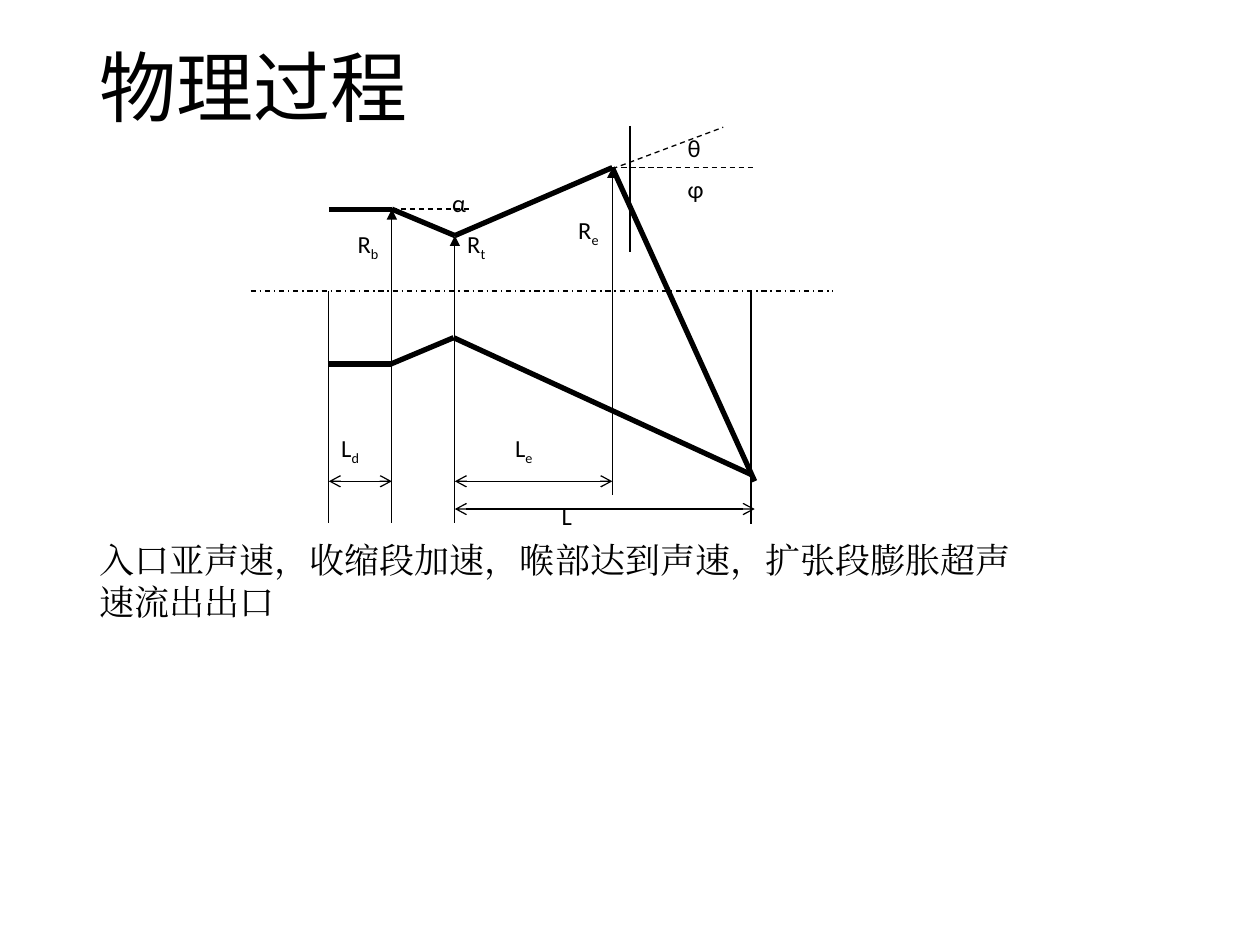
from lxml.etree import SubElement
from pptx import Presentation
from pptx.dml.color import RGBColor
from pptx.enum.dml import MSO_LINE_DASH_STYLE as Dash
from pptx.enum.shapes import MSO_CONNECTOR as Connector
from pptx.enum.text import MSO_ANCHOR as Anchor, MSO_AUTO_SIZE as AutoSize, PP_ALIGN as Align
from pptx.oxml.ns import qn
from pptx.util import Inches, Pt

BLACK = RGBColor(0, 0, 0)
THIN, WALL = 0.75, 3

# Content
TITLE = "物理过程"
NOTE = "入口亚声速，收缩段加速，喉部达到声速，扩张段膨胀超声速流出出口"

# Stations along the nozzle axis, and the axis height
INLET, BEND, THROAT, EXIT, TIP = 2.61, 3.11, 3.61, 4.86, 5.99
AXIS = 2.31

WALLS = [
    [(INLET, 1.66), (BEND, 1.66), (THROAT, 1.87), (EXIT, 1.33), (TIP, 3.82)],
    [(2.6, 2.89), (3.1, 2.89), (3.6, 2.68), (5.97, 3.77)],
]
DASHED = [
    ((1.99, AXIS), (6.61, AXIS), Dash.DASH_DOT),
    ((EXIT, 1.33), (TIP, 1.33), Dash.DASH),
    ((BEND, 1.66), (3.74, 1.66), Dash.DASH),
    ((EXIT, 1.34), (5.74, 1.01), Dash.DASH),
]
RADII = [(BEND, 1.66), (THROAT, 1.87), (EXIT, 1.33)]
EXTENSIONS = [(INLET, 4.15), (BEND, 4.15), (THROAT, 4.15), (EXIT, 3.93), (5.96, 4.16)]
LENGTHS = [(INLET, BEND, 3.82), (THROAT, EXIT, 3.82), (THROAT, TIP, 4.04)]

# Angle marks: a start point, then Bezier segments
ANGLES = [
    ((5.33, 1.34), [((5.32, 1.46), (5.34, 1.53), (5.24, 1.59)),
                    ((5.23, 1.61), (5.23, 1.63), (5.21, 1.64)),
                    ((5.2, 1.65), (5.18, 1.64), (5.17, 1.65)),
                    ((5.11, 1.68), (5.11, 1.7), (5.04, 1.7))]),
    ((3.47, 1.65), [((3.46, 1.69), (3.47, 1.73), (3.45, 1.76)),
                    ((3.45, 1.77), (3.41, 1.77), (3.41, 1.77))]),
    ((5.4, 1.16), [((5.45, 1.21), (5.47, 1.28), (5.39, 1.32))]),
]
# Symbol, subscript, left, top, width
LABELS = [
    ("R", "b", 2.74, 1.77, 0.5), ("R", "t", 3.61, 1.77, 0.38), ("R", "e", 4.49, 1.66, 0.62),
    ("L", "d", 2.61, 3.39, 0.5), ("L", "e", 3.99, 3.39, 0.5), ("L", "", 4.36, 3.93, 0.5),
    ("φ", "", 5.36, 1.33, 0.5), ("α", "", 3.49, 1.44, 0.5), ("θ", "", 5.36, 1.01, 0.5),
]


def add_line(shapes, start, end, width=THIN, dash=None, head=None, tail=None):
    line = shapes.add_connector(Connector.STRAIGHT, *map(Inches, start + end))
    line.line.color.rgb = BLACK
    line.line.width = Pt(width)
    if dash:
        line.line.dash_style = dash
    outline = line.line._get_or_add_ln()
    for tag, kind in (("a:headEnd", head), ("a:tailEnd", tail)):
        if kind:
            SubElement(outline, qn(tag), type=kind)
    SubElement(line._element.spPr, qn("a:effectLst"))


def add_curve(shapes, start, segments, steps=8):
    points, last = [], start
    for first, second, end in segments:
        for step in range(1, steps + 1):
            t = step / steps
            weights = ((1 - t) ** 3, 3 * t * (1 - t) ** 2, 3 * t * t * (1 - t), t ** 3)
            corners = list(zip(weights, (last, first, second, end)))
            points.append(tuple(sum(w * p[axis] for w, p in corners) for axis in (0, 1)))
        last = end
    builder = shapes.build_freeform(*start, scale=Inches(1))
    builder.add_line_segments(points, close=False)
    curve = builder.convert_to_shape()
    curve.shadow.inherit = False
    curve.fill.background()
    curve.line.color.rgb = BLACK
    curve.line.width = Pt(THIN)


def add_span(para, text, font, size, subscript=False):
    span = para.add_run()
    span.text = text
    span.font.name = font
    span.font.size = Pt(size)
    span.font.color.rgb = BLACK
    properties = span.font._element
    SubElement(properties, qn("a:ea"), typeface=font)
    if subscript:
        properties.set("baseline", "-25000")


def add_box(shapes, left, top, width, height):
    box = shapes.add_textbox(*map(Inches, (left, top, width, height)))
    box.text_frame.word_wrap = True
    return box.text_frame


def main():
    deck = Presentation()
    deck.slide_width, deck.slide_height = Inches(10), Inches(7.5)
    page = deck.slides.add_slide(deck.slide_layouts[5])

    # Title
    title = page.shapes.title
    title.left, title.top, title.width, title.height = map(Inches, (0.69, 0, 4.95, 1.45))
    frame = title.text_frame
    frame.vertical_anchor = Anchor.MIDDLE
    frame.auto_size = AutoSize.NONE
    para = frame.paragraphs[0]
    para.alignment = Align.LEFT
    para.line_spacing = 0.9
    add_span(para, TITLE, "Noto Sans CJK SC", 44)

    # Nozzle drawing
    nozzle = page.shapes.add_group_shape().shapes
    for start, end, dash in DASHED:
        add_line(nozzle, start, end, dash=dash)
    for wall in WALLS:
        for start, end in zip(wall, wall[1:]):
            add_line(nozzle, start, end, WALL)
    for x, top in RADII:
        add_line(nozzle, (x, AXIS), (x, top), tail="triangle")
    for x, bottom in EXTENSIONS:
        add_line(nozzle, (x, AXIS), (x, bottom))
    for left, right, y in LENGTHS:
        add_line(nozzle, (left, y), (right, y), head="arrow", tail="arrow")
    for start, segments in ANGLES:
        add_curve(nozzle, start, segments)

    # Dimension and angle labels
    for symbol, subscript, left, top, width in LABELS:
        para = add_box(nozzle, left, top, width, 0.54).paragraphs[0]
        para.alignment = Align.JUSTIFY
        add_span(para, symbol, "Calibri", 14)
        if subscript:
            add_span(para, subscript, "Calibri", 14, subscript=True)

    # Explanation
    frame = add_box(page.shapes, 0.69, 4.22, 7.6, 0.77)
    frame.vertical_anchor = Anchor.MIDDLE
    frame.auto_size = AutoSize.SHAPE_TO_FIT_TEXT
    add_span(frame.paragraphs[0], NOTE, "Times New Roman", 20)

    deck.save("out.pptx")


if __name__ == "__main__":
    main()
